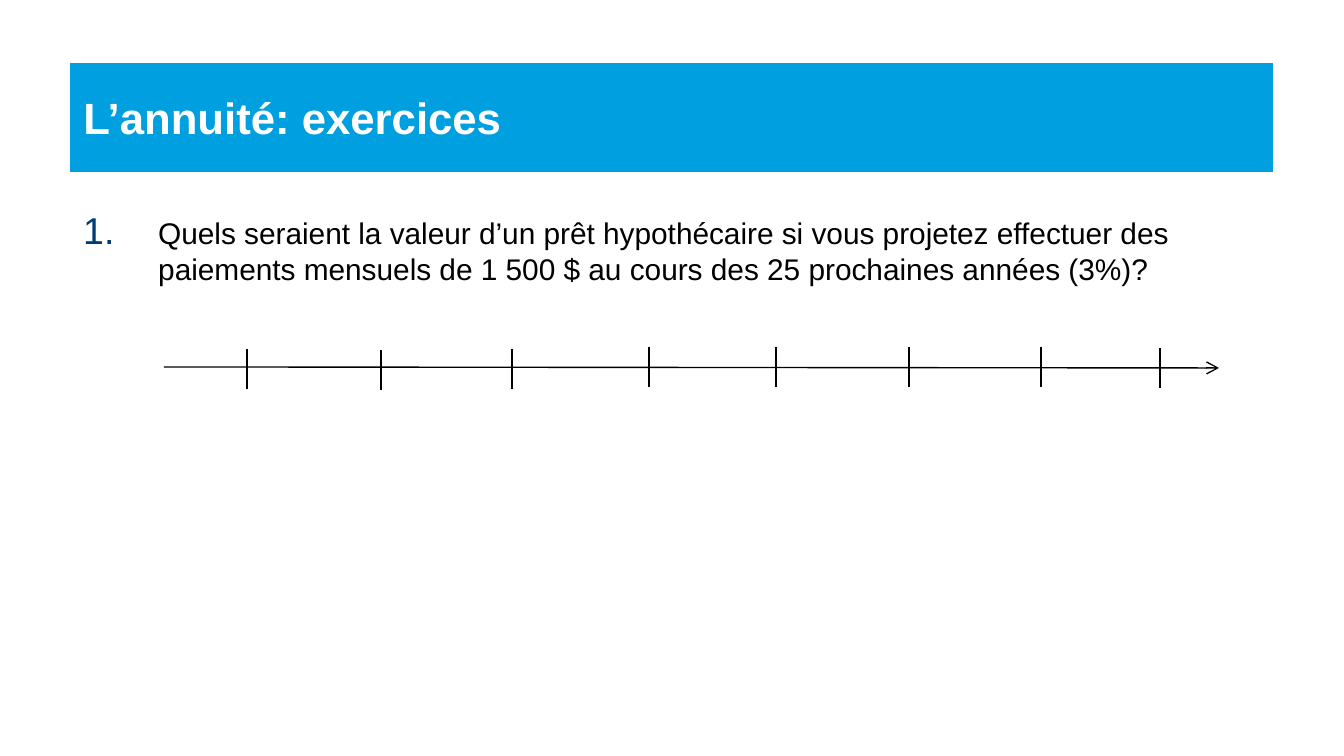
from dataclasses import dataclass

from lxml.etree import SubElement
from pptx import Presentation
from pptx.dml.color import RGBColor as RGB
from pptx.enum.shapes import MSO_CONNECTOR as LINE
from pptx.enum.text import MSO_ANCHOR as ANCHOR, PP_ALIGN as ALIGN
from pptx.oxml.ns import qn
from pptx.util import Pt

TITLE = "L’annuité: exercices"
TASKS = [
    "Quels seraient la valeur d’un prêt hypothécaire si vous projetez effectuer des "
    "paiements mensuels de 1 500 $ au cours des 25 prochaines années (3%)?",
]

# All lengths in px
SIZE = (1344, 756)
BAND = (70, 63, 1203, 109)
BODY = (70, 208, 1203, 422)
INDENT = 75
AXIS = (164, 367, 1219, 368)
TICK = 40
TICKS = [(247, 349), (381, 350), (512, 349), (649, 347),
         (776, 347), (909, 347), (1041, 347), (1160, 348)]  # x, top


@dataclass(frozen=True)
class Theme:
    font: str = "Arial"
    band: RGB = RGB(0x00, 0x9F, 0xDF)
    light: RGB = RGB(0xFF, 0xFF, 0xFF)
    ink: RGB = RGB(0, 0, 0)
    number: str = "003C71"
    head: float = 23.4
    text: float = 16
    line: float = 0.75


THEME = Theme()


def px(n):
    return round(n * 914400 / 134.4)


def write(frame, texts, size, color, bold=False, anchor=ANCHOR.TOP, numbered=False):
    frame.word_wrap = True
    frame.vertical_anchor = anchor
    for i, text in enumerate(texts):
        para = frame.paragraphs[0] if i == 0 else frame.add_paragraph()
        para.alignment = ALIGN.LEFT
        if numbered:
            number(para)
        run = para.add_run()
        run.text = text
        font = run.font
        font.name, font.size, font.bold = THEME.font, Pt(size), bold
        font.color.rgb = color


def number(para):
    """Give the paragraph a hanging, coloured automatic number."""
    props = para._p.get_or_add_pPr()
    props.set("marL", str(px(INDENT)))
    props.set("indent", str(-px(INDENT)))
    tint = SubElement(props, qn("a:buClr"))
    SubElement(tint, qn("a:srgbClr"), val=THEME.number)
    SubElement(props, qn("a:buSzPct"), val="125000")
    SubElement(props, qn("a:buFont"), typeface=THEME.font)
    SubElement(props, qn("a:buAutoNum"), type="arabicPeriod")


def draw(group, ends, arrow=False):
    line = group.shapes.add_connector(LINE.STRAIGHT, *map(px, ends))
    line.line.color.rgb = THEME.ink
    line.line.width = Pt(THEME.line)
    if arrow:
        SubElement(line.line._get_or_add_ln(), qn("a:tailEnd"), type="arrow")
    SubElement(line._element.spPr, qn("a:effectLst"))


def main():
    deck = Presentation()
    deck.slide_width, deck.slide_height = map(px, SIZE)
    slide = deck.slides.add_slide(deck.slide_layouts[5])

    title = slide.shapes.title
    title.left, title.top, title.width, title.height = map(px, BAND)
    title.fill.solid()
    title.fill.fore_color.rgb = THEME.band
    write(title.text_frame, [TITLE], THEME.head, THEME.light,
          bold=True, anchor=ANCHOR.MIDDLE)

    body = slide.shapes.add_textbox(*map(px, BODY))
    write(body.text_frame, TASKS, THEME.text, THEME.ink, numbered=True)

    group = slide.shapes.add_group_shape()
    draw(group, AXIS, arrow=True)
    for x, top in TICKS:
        draw(group, (x, top + TICK, x, top))

    deck.save("out.pptx")


if __name__ == "__main__":
    main()
